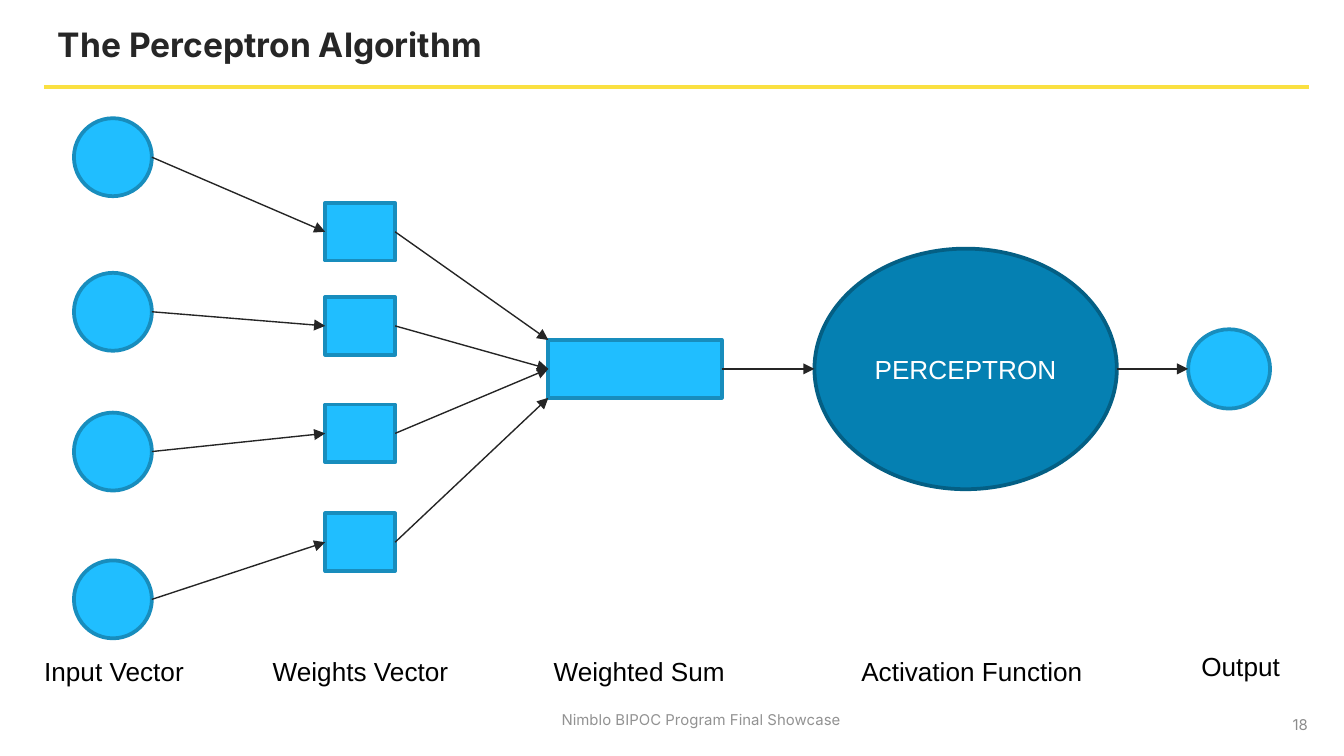
from dataclasses import dataclass

from pptx import Presentation
from pptx.dml.color import RGBColor
from pptx.enum.shapes import MSO_CONNECTOR as Connector, MSO_SHAPE as Shape
from pptx.enum.text import MSO_ANCHOR as Anchor, PP_ALIGN as Align
from pptx.oxml.ns import qn
from pptx.util import Inches, Pt
from lxml.etree import SubElement

COLORS = {
    "title": "262626", "rule": "FAE041", "footer": "929292", "number": "8B8B8B",
    "node": "20BEFF", "node_edge": "188DBD", "core": "0580B2", "core_edge": "045F84",
    "arrow": "252525", "label": "000000", "white": "FFFFFF",
}
WIDTH, HEIGHT = Inches(10), Inches(5.625)
UNIT = WIDTH / 100


@dataclass
class Box:
    left: float
    top: float
    width: float
    height: float

    def inner(self, left, top, width, height):
        return Box(self.left + left, self.top + top, width, height)

    def point(self, across, down):
        return self.left + across * self.width, self.top + down * self.height

    def frame(self):
        return [round(n * UNIT) for n in (self.left, self.top, self.width, self.height)]


def color(name):
    return RGBColor.from_string(COLORS[name])


def write(shape, text, font="Arial", size=14, ink="label", bold=False,
          align=Align.LEFT, anchor=Anchor.TOP):
    frame = shape.text_frame
    frame.word_wrap = True
    frame.vertical_anchor = anchor
    para = frame.paragraphs[0]
    para.alignment = align
    span = para.add_run()
    span.text = text
    span.font.name, span.font.size, span.font.bold = font, Pt(size), bold
    span.font.color.rgb = color(ink)


def add_text(page, box, text, **style):
    write(page.shapes.add_textbox(*box.frame()), text, **style)


def add_node(page, box, kind, fill="node"):
    node = page.shapes.add_shape(kind, *box.frame())
    node.shadow.inherit = False
    node.fill.solid()
    node.fill.fore_color.rgb = color(fill)
    node.line.color.rgb = color(fill + "_edge")
    node.line.width = Pt(2)
    return node


def add_line(page, start, end, ink="arrow", weight=0.75, arrow=True):
    ends = [round(n * UNIT) for n in (*start, *end)]
    line = page.shapes.add_connector(Connector.STRAIGHT, *ends)
    line.line.color.rgb = color(ink)
    line.line.width = Pt(weight)
    if arrow:
        SubElement(line.line._get_or_add_ln(), qn("a:tailEnd"), type="triangle")
    SubElement(line._element.spPr, qn("a:effectLst"))


def link(page, source, target, down=0.5):
    add_line(page, source.point(1, 0.5), target.point(0, down))


def header(page, box):
    title = page.shapes.title
    title.left, title.top, title.width, title.height = box.inner(0, 0, 81.2, 5.8).frame()
    write(title, "The Perceptron Algorithm", font="Inter", size=18, ink="title",
          bold=True, anchor=Anchor.MIDDLE)
    add_line(page, box.point(0, 1), box.point(1, 1), ink="rule", weight=2, arrow=False)


def footer(page, box):
    add_text(page, box.inner(0, 0, 24, 2.4), "Nimblo BIPOC Program Final Showcase",
             font="Inter", size=8, ink="footer")
    add_text(page, box.inner(35, 0, 22.5, 3), "18", font="Inter", size=8, ink="number",
             align=Align.RIGHT, anchor=Anchor.MIDDLE)


def network(page, box):
    inputs = [box.inner(2.2, top, 5.8, 5.8) for top in (0, 11.5, 21.9, 32.9)]
    weights = [box.inner(20.9, top, 5.2, 4.3) for top in (6.3, 13.3, 21.3, 29.4)]
    total = box.inner(37.5, 16.5, 12.9, 4.3)
    core = box.inner(57.3, 9.7, 22.5, 17.9)
    output = box.inner(85.1, 15.7, 6.1, 5.9)

    for node in (*inputs, output):
        add_node(page, node, Shape.FLOWCHART_CONNECTOR)
    for node in (*weights, total):
        add_node(page, node, Shape.RECTANGLE)
    write(add_node(page, core, Shape.FLOWCHART_CONNECTOR, fill="core"), "PERCEPTRON",
          ink="white", align=Align.CENTER, anchor=Anchor.MIDDLE)

    for source, weight, down in zip(inputs, weights, (0, 0.5, 0.5, 1)):
        link(page, source, weight)
        link(page, weight, total, down)
    link(page, total, core)
    link(page, core, output)


def labels(page, box):
    for text, left, top, width in (
        ("Input Vector", 0, 0.4, 13.8),
        ("Weights Vector", 17, 0.4, 17.8),
        ("Weighted Sum", 37.9, 0.4, 15.9),
        ("Activation Function", 60.8, 0.4, 20.2),
        ("Output", 86.1, 0, 9.5),
    ):
        add_text(page, box.inner(left, top, width, 3.4), text)


def main():
    deck = Presentation()
    deck.slide_width, deck.slide_height = WIDTH, HEIGHT
    page = deck.slides.add_slide(deck.slide_layouts[5])
    header(page, Box(3.3, 0.4, 94.1, 6.1))
    network(page, Box(3.3, 8.8, 94.1, 38.7))
    labels(page, Box(2.3, 47.9, 95.6, 3.8))
    footer(page, Box(40.8, 52.4, 57.5, 3))
    deck.save("out.pptx")


if __name__ == "__main__":
    main()
